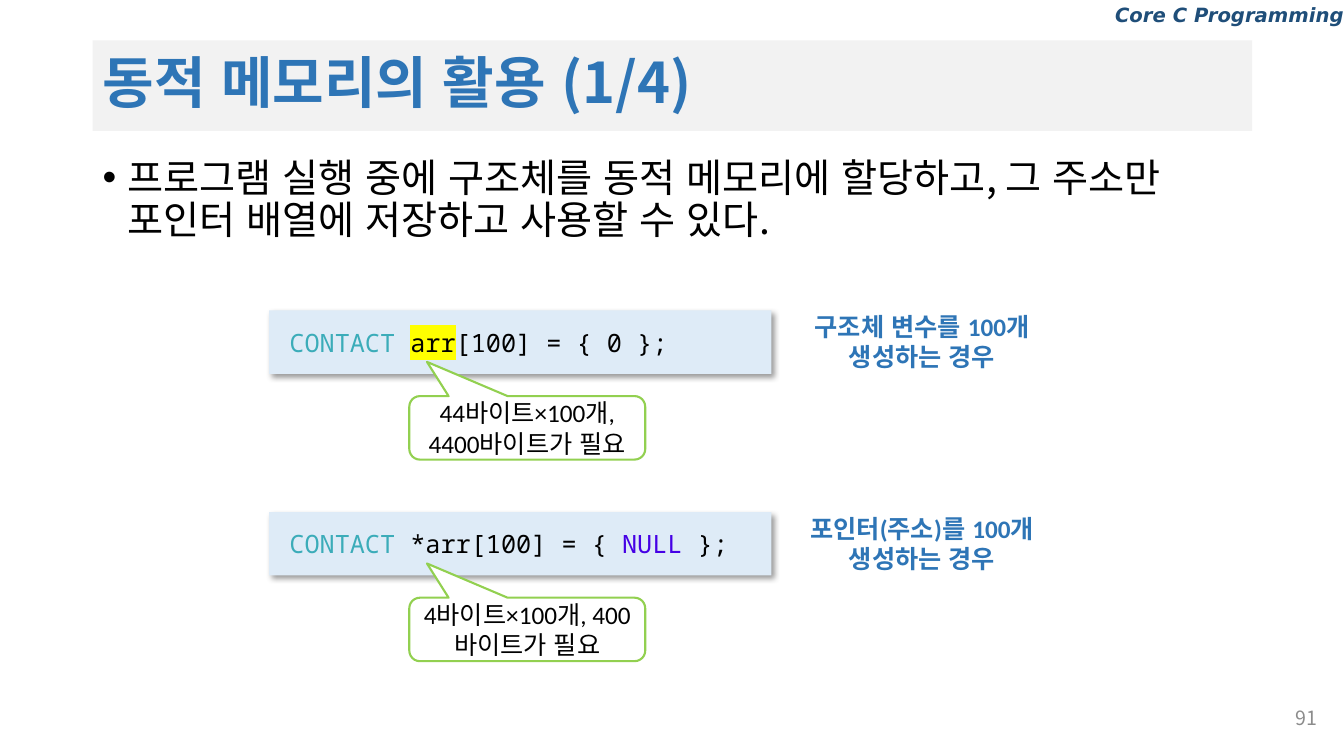
import pptx
import pptx.util
import pptx.dml.color
import pptx.enum.lang
import pptx.enum.shapes
import pptx.enum.text
import pptx.oxml
import pptx.oxml.ns

HEADER = "Core C Programming"
TITLE = "동적 메모리의 활용 (1/4)"
BODY = "프로그램 실행 중에 구조체를 동적 메모리에 할당하고, 그 주소만 포인터 배열에 저장하고 사용할 수 있다."
PAGE_NUMBER = "91"
EXAMPLES = [
    {
        "code": [("CONTACT ", "type"), ("arr", "text", "highlight"), ("[100] = { 0 };", "text")],
        "callout": "44바이트×100개, 4400바이트가 필요",
        "caption": "구조체 변수를 100개 생성하는 경우",
    },
    {
        "code": [("CONTACT ", "type"), ("*arr[100] = { ", "text"), ("NULL ", "keyword"), ("};", "text")],
        "callout": "4바이트×100개, 400바이트가 필요",
        "caption": "포인터(주소)를 100개 생성하는 경우",
    },
]

COLORS = {
    "header": "1F4E79", "title": "2E75B6", "band": "F2F2F2", "text": "000000",
    "number": "8C8C8C", "code": "DEEBF7", "type": "3BACB9", "keyword": "4500E5",
    "highlight": "FFFF00", "callout": "FFFFFF", "outline": "92D050",
}
KOREAN_FONT = "Noto Sans CJK KR"
SLIDE_WIDTH, SLIDE_HEIGHT = 13.33, 7.5
MARGIN, CONTENT_WIDTH = 0.92, 11.5
FIRST_ROW, ROW_PITCH, BOX_HEIGHT = 3.08, 2, 0.63
CALLOUT_OFFSET, CAPTION_OFFSET = 0.85, -0.04
CALLOUT_TAIL = (-0.425, -1.039, 0.167)
NAMESPACE = pptx.oxml.ns.nsdecls("a")
ALIGN = pptx.enum.text.PP_ALIGN
SHAPES = pptx.enum.shapes.MSO_SHAPE

presentation = pptx.Presentation()
presentation.slide_width = pptx.util.Inches(SLIDE_WIDTH)
presentation.slide_height = pptx.util.Inches(SLIDE_HEIGHT)
slide = presentation.slides.add_slide(presentation.slide_layouts[6])


def rgb(name):
    return pptx.dml.color.RGBColor.from_string(COLORS[name])


def element(xml):
    return pptx.oxml.parse_xml(xml.replace(" ", f" {NAMESPACE} ", 1))


def add_text(place, text, kind=None, fill=None, line=None, font="Calibri", size=18, color="text",
             bold=False, italic=False, align=ALIGN.LEFT, middle=False, spacing=None,
             bullet=False, insets=(0.1, 0.05, 0.1, 0.05)):
    box = [pptx.util.Inches(length) for length in place]
    if kind is None:
        shape = slide.shapes.add_textbox(*box)
    else:
        shape = slide.shapes.add_shape(kind, *box)
        shape.shadow.inherit = False
        shape.fill.solid()
        shape.fill.fore_color.rgb = rgb(fill)
        if line:
            shape.line.color.rgb = rgb(line)
            shape.line.width = pptx.util.Pt(1.5)
        else:
            shape.line.fill.background()
    frame = shape.text_frame
    frame.word_wrap = True
    anchor = pptx.enum.text.MSO_ANCHOR
    frame.vertical_anchor = anchor.MIDDLE if middle else anchor.TOP
    frame.margin_left, frame.margin_top, frame.margin_right, frame.margin_bottom = map(
        pptx.util.Inches, insets)
    paragraph = frame.paragraphs[0]
    paragraph.alignment = align
    if spacing:
        paragraph.line_spacing = spacing
    if bullet:
        properties = paragraph._p.get_or_add_pPr()
        indent = pptx.util.Inches(0.25)
        properties.set("marL", str(indent))
        properties.set("indent", str(-indent))
        properties.append(element('<a:buFont typeface="Arial"/>'))
        properties.append(element('<a:buChar char="•"/>'))
    runs = [(text, color)] if isinstance(text, str) else text
    for words, run_color, *highlight in runs:
        run = paragraph.add_run()
        run.text = words
        run.font.size = pptx.util.Pt(size)
        run.font.bold = bold
        run.font.italic = italic
        run.font.language_id = pptx.enum.lang.MSO_LANGUAGE_ID.KOREAN
        run.font.color.rgb = rgb(run_color)
        properties = run._r.get_or_add_rPr()
        for name in highlight:
            properties.append(element(
                f'<a:highlight ><a:srgbClr val="{COLORS[name]}"/></a:highlight>'))
        run.font.name = font
        properties.append(element(f'<a:ea typeface="{KOREAN_FONT}"/>'))
    return shape


def add_shadow(shape):
    effects = shape._element.spPr.find(pptx.oxml.ns.qn("a:effectLst"))
    blur, distance = pptx.util.Pt(4), pptx.util.Pt(3)
    effects.append(element(
        f'<a:outerShdw blurRad="{blur}" dist="{distance}" dir="2700000" algn="tl" rotWithShape="0">'
        f'<a:srgbClr val="{COLORS["text"]}"><a:alpha val="40000"/></a:srgbClr></a:outerShdw>'))


add_text((SLIDE_WIDTH - 4.5, -0.02, 4.5, 0.4), HEADER, font="DejaVu Sans", size=14,
         color="header", bold=True, italic=True, align=ALIGN.RIGHT, insets=(0.1, 0.05, 0, 0.05))
add_text((MARGIN, 0.4, CONTENT_WIDTH, 0.9), TITLE, kind=SHAPES.RECTANGLE, fill="band",
         font=KOREAN_FONT, size=40, color="title", bold=True, middle=True, spacing=0.9)
add_text((MARGIN, 1.52, CONTENT_WIDTH, 5.7), BODY, font=KOREAN_FONT, size=28,
         spacing=0.9, bullet=True)
add_text((12.34, 6.86, 0.82, 0.52), PAGE_NUMBER, font=KOREAN_FONT, size=14, color="number",
         align=ALIGN.RIGHT, middle=True)

for row, example in enumerate(EXAMPLES):
    top = FIRST_ROW + row * ROW_PITCH
    code = add_text((2.67, top, 4.98, BOX_HEIGHT), example["code"], kind=SHAPES.RECTANGLE,
                    fill="code", font="Noto Sans Mono", middle=True, insets=(0.2, 0.05, 0.1, 0.05))
    add_shadow(code)
    callout = add_text((4.06, top + CALLOUT_OFFSET, 2.34, BOX_HEIGHT), example["callout"],
                       kind=SHAPES.ROUNDED_RECTANGULAR_CALLOUT, fill="callout", line="outline",
                       align=ALIGN.CENTER, middle=True, insets=(0.02,) * 4)
    for index, value in enumerate(CALLOUT_TAIL):
        callout.adjustments[index] = value
    add_text((7.89, top + CAPTION_OFFSET, 2.51, 0.71), example["caption"], color="title",
             bold=True, align=ALIGN.CENTER)

presentation.save("out.pptx")
